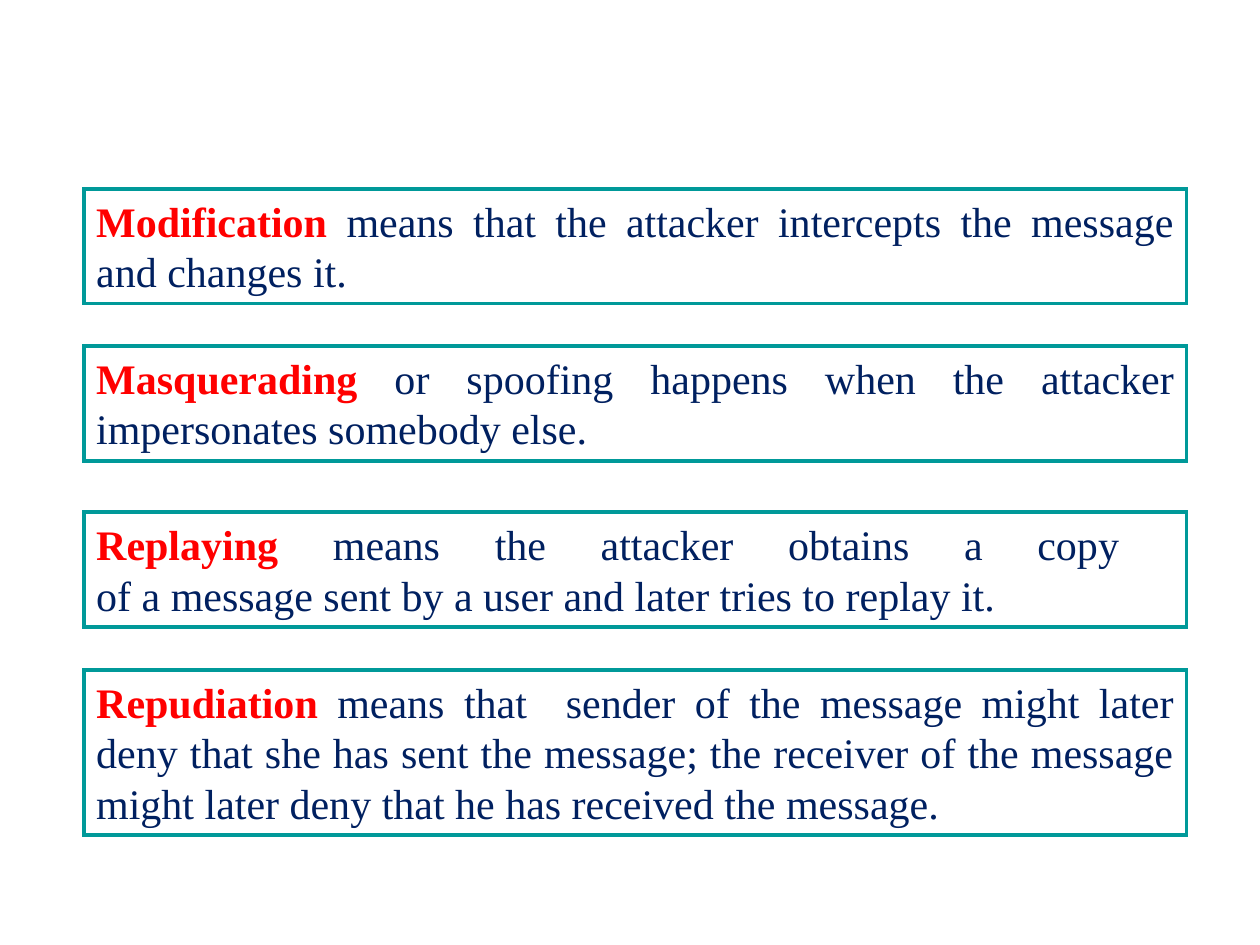
from dataclasses import dataclass

from lxml.etree import SubElement
from pptx import Presentation
from pptx.dml.color import RGBColor
from pptx.enum.shapes import MSO_SHAPE
from pptx.enum.text import MSO_ANCHOR, MSO_AUTO_SIZE, PP_ALIGN
from pptx.oxml.ns import qn
from pptx.util import Cm, Pt


@dataclass(frozen=True)
class Theme:
    font: str = "Times New Roman"
    size: float = 24
    term: str = "FF0000"
    body: str = "002060"
    border: str = "009999"
    border_width: float = 2.25


class SlideBuilder:
    """Draws styled definition boxes on the current slide."""

    def __init__(self, slide, theme):
        self.slide = slide
        self.theme = theme

    def run(self, paragraph, text, color, bold=False):
        run = paragraph.add_run()
        run.text = text
        run.font.name = self.theme.font
        run.font.size = Pt(self.theme.size)
        run.font.bold = bold
        run.font.color.rgb = RGBColor.from_string(color)

    def definition(self, top, height, term, meaning):
        shape = self.slide.shapes.add_shape(
            MSO_SHAPE.RECTANGLE, Cm(1.69), Cm(top), Cm(22.23), Cm(height)
        )
        shape.shadow.inherit = False
        shape.fill.background()
        shape.line.color.rgb = RGBColor.from_string(self.theme.border)
        shape.line.width = Pt(self.theme.border_width)
        outline = shape.element.spPr.find(qn("a:ln"))
        SubElement(outline, qn("a:miter"), lim="800000")

        text_frame = shape.text_frame
        text_frame.word_wrap = True
        text_frame.auto_size = MSO_AUTO_SIZE.SHAPE_TO_FIT_TEXT
        text_frame.vertical_anchor = MSO_ANCHOR.TOP
        paragraph = text_frame.paragraphs[0]
        paragraph.alignment = PP_ALIGN.JUSTIFY
        self.run(paragraph, term, self.theme.term, bold=True)
        for index, line in enumerate(meaning.split("\n")):
            if index:
                paragraph.add_line_break()
            self.run(paragraph, line, self.theme.body)


DEFINITIONS = [
    (3.81, 2.31, "Modification",
     " means that the attacker intercepts the message and changes it."),
    (6.98, 2.31, "Masquerading",
     " or spoofing happens when the attacker impersonates somebody else."),
    (10.33, 2.31, "Replaying",
     " means the attacker obtains a copy \n"
     "of a message sent by a user and later tries to replay it."),
    (13.51, 3.33, "Repudiation",
     " means that  sender of the message might later deny that she has sent "
     "the message; the receiver of the message might later deny that he has "
     "received the message."),
]


def main():
    presentation = Presentation()
    presentation.slide_width = Cm(25.4)
    presentation.slide_height = Cm(19.05)
    slide = presentation.slides.add_slide(presentation.slide_layouts[6])
    builder = SlideBuilder(slide, Theme())
    for definition in DEFINITIONS:
        builder.definition(*definition)
    presentation.save("out.pptx")


if __name__ == "__main__":
    main()
